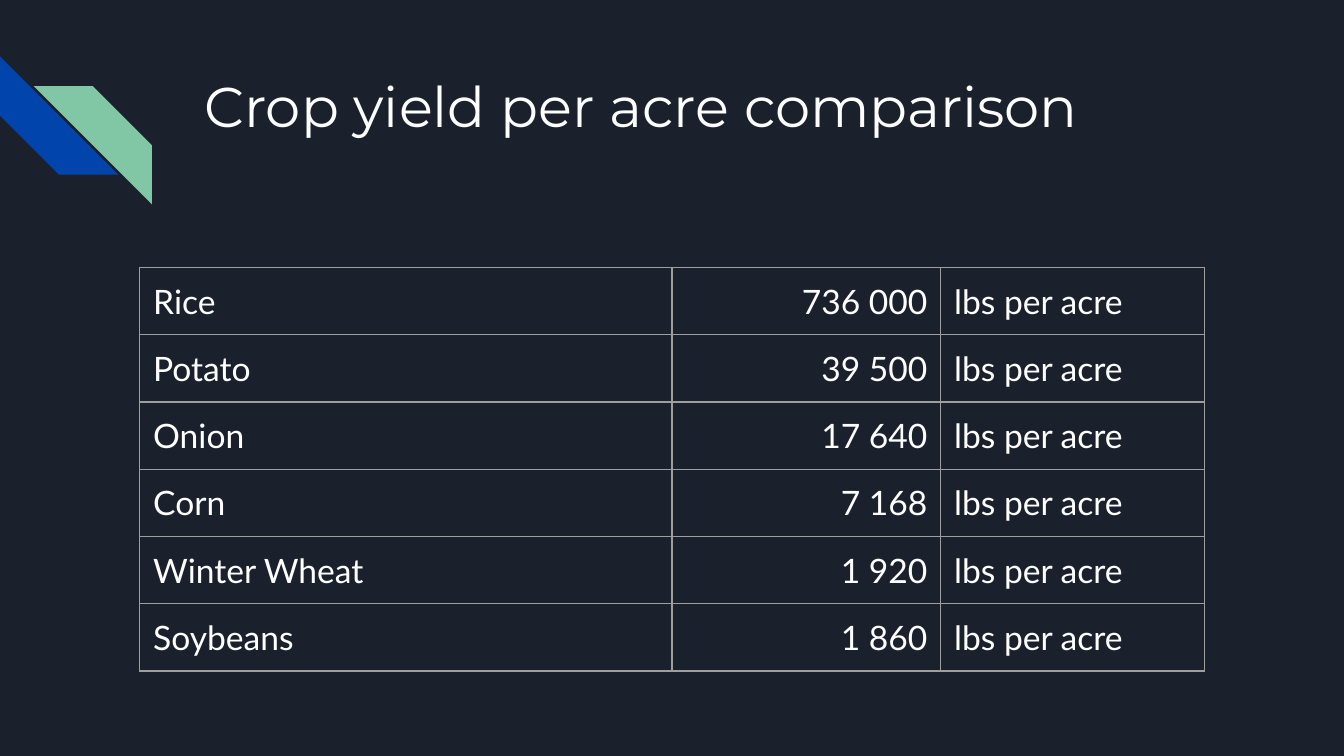
from dataclasses import dataclass

from lxml import etree
from pptx import Presentation
from pptx import util as u
from pptx.dml.color import RGBColor
from pptx.enum import shapes, text
from pptx.oxml import ns


@dataclass(frozen=True)
class Theme:
    back: str = "1B212C"
    ink: str = "FFFFFF"
    blue: str = "0145AC"
    green: str = "82C7A5"
    rule: str = "9E9E9E"
    head: str = "Montserrat"
    body: str = "Lato"
    big: int = 30
    small: int = 18


@dataclass(frozen=True)
class Stripe:
    left: float
    top: float
    turn: int
    color: str


@dataclass(frozen=True)
class Crop:
    name: str
    yields: str
    unit: str = "lbs per acre"


THEME = Theme()
SIDE = 0.88
PAD = u.Inches(0.1)
WIDTHS = (3.96, 2, 1.96)
HEIGHT = 0.42  # least height; rows grow to fit their text
STRIPES = (
    Stripe(0, 0.42, 270, THEME.blue),
    Stripe(0.25, 0.64, 90, THEME.green),
)
CROPS = (
    Crop("Rice", "736 000"),
    Crop("Potato", "39 500"),
    Crop("Onion", "17 640"),
    Crop("Corn", "7 168"),
    Crop("Winter Wheat", "1 920"),
    Crop("Soybeans", "1 860"),
)


def style(frame, face: str, size: int) -> None:
    font = frame.paragraphs[0].runs[0].font
    font.name, font.size = face, u.Pt(size)
    font.color.rgb = RGBColor.from_string(THEME.ink)


def pad(box) -> None:
    box.margin_left = box.margin_right = PAD
    box.margin_top = box.margin_bottom = PAD


def draw_stripe(slide, item: Stripe) -> None:
    shape = slide.shapes.add_shape(
        shapes.MSO_SHAPE.DIAGONAL_STRIPE,
        u.Inches(item.left), u.Inches(item.top), u.Inches(SIDE), u.Inches(SIDE))
    shape.rotation = item.turn
    shape.shadow.inherit = False
    shape.fill.solid()
    shape.fill.fore_color.rgb = RGBColor.from_string(item.color)
    shape.line.fill.background()


def draw_title(slide, words: str) -> None:
    box = slide.shapes.add_textbox(
        u.Inches(1.42), u.Inches(0.43), u.Inches(7.7), u.Inches(1))
    frame = box.text_frame
    frame.word_wrap = True
    pad(frame)
    frame.text = words
    style(frame, THEME.head, THEME.big)


def add_border(cell) -> None:
    props = cell._tc.get_or_add_tcPr()
    for spot, side in enumerate(("lnL", "lnR", "lnT", "lnB")):
        line = etree.Element(ns.qn(f"a:{side}"), w=str(u.Pt(0.75)))
        fill = etree.SubElement(line, ns.qn("a:solidFill"))
        etree.SubElement(fill, ns.qn("a:srgbClr"), val=THEME.rule)
        props.insert(spot, line)


def draw_cell(cell, words: str, align) -> None:
    pad(cell)
    cell.fill.background()
    cell.text_frame.text = words
    cell.text_frame.paragraphs[0].alignment = align
    style(cell.text_frame, THEME.body, THEME.small)
    add_border(cell)


def draw_table(slide, crops: tuple[Crop, ...]) -> None:
    table = slide.shapes.add_table(
        len(crops), len(WIDTHS), u.Inches(1.04), u.Inches(1.99),
        u.Inches(sum(WIDTHS)), u.Inches(HEIGHT * len(crops))).table
    table.first_row = table.horz_banding = False
    for col, width in zip(table.columns, WIDTHS):
        col.width = u.Inches(width)
    left, right = text.PP_ALIGN.LEFT, text.PP_ALIGN.RIGHT
    for row, crop in zip(table.rows, crops):
        row.height = u.Inches(HEIGHT)
        values = (crop.name, crop.yields, crop.unit)
        for cell, words, align in zip(row.cells, values, (left, right, left)):
            draw_cell(cell, words, align)


def main() -> None:
    # Widescreen page, 16 by 9
    deck = Presentation()
    deck.slide_width = u.Inches(10)
    deck.slide_height = u.Inches(10 * 9 / 16)
    slide = deck.slides.add_slide(deck.slide_layouts[6])

    # Background and corner stripes
    slide.background.fill.solid()
    slide.background.fill.fore_color.rgb = RGBColor.from_string(THEME.back)
    for item in STRIPES:
        draw_stripe(slide, item)

    # Title and yield table
    draw_title(slide, "Crop yield per acre comparison")
    draw_table(slide, CROPS)

    deck.save("out.pptx")


if __name__ == "__main__":
    main()
